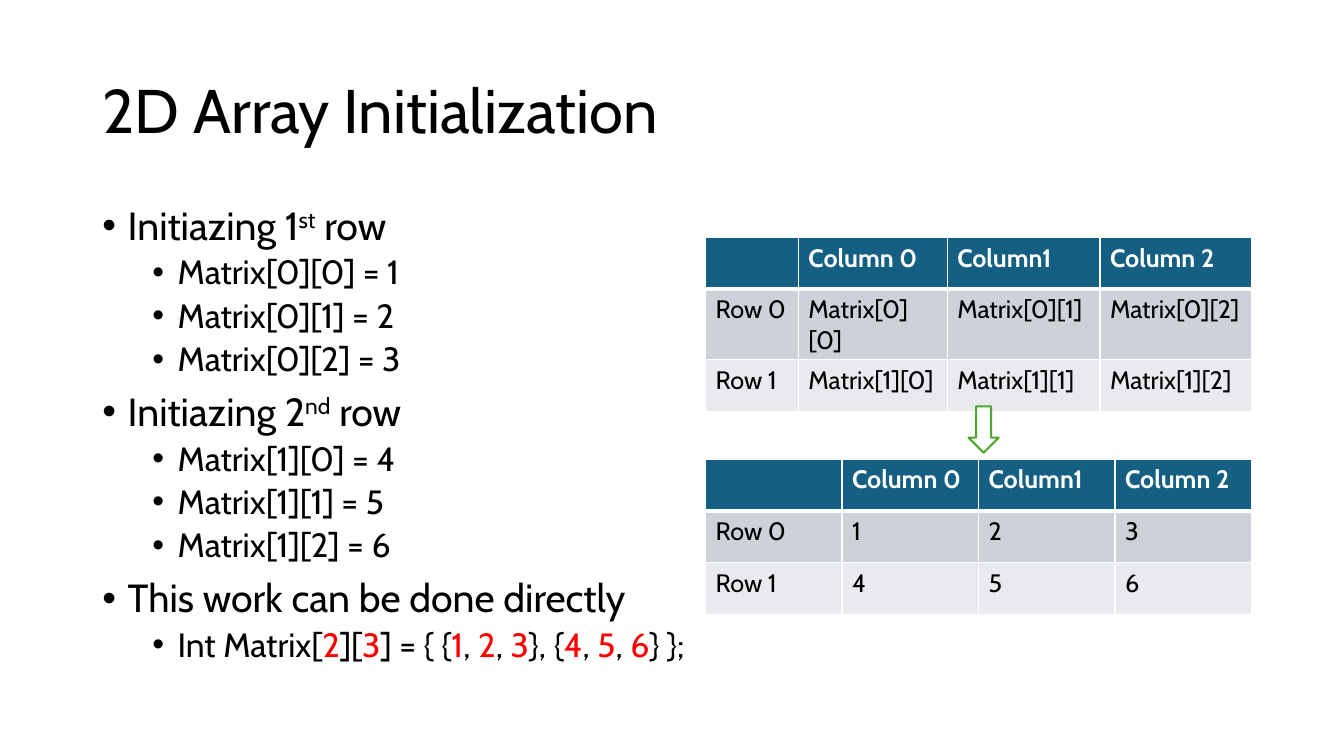
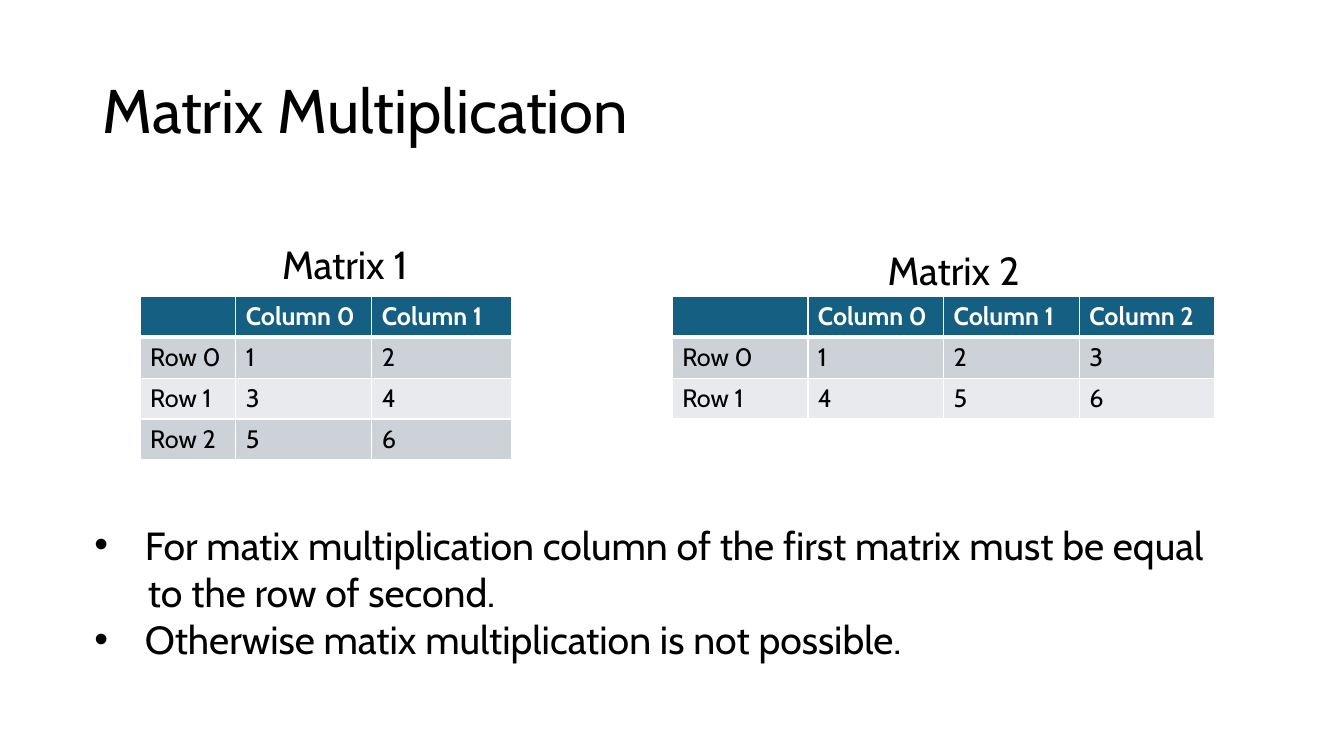
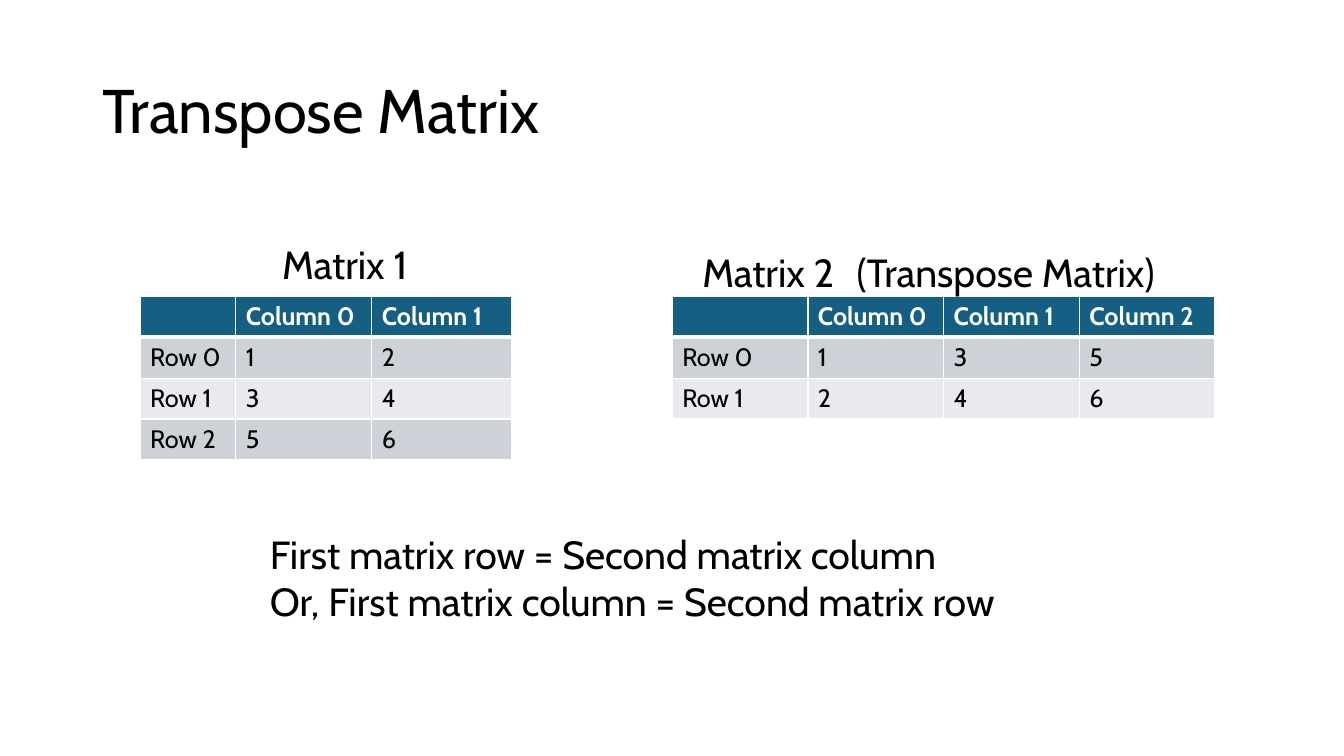
from itertools import groupby

from lxml import etree
from pptx import Presentation
from pptx.dml.color import RGBColor
from pptx.enum import shapes, text
from pptx.oxml.ns import qn
from pptx.util import Cm, Pt

FONT = "Cabin"
BLACK = RGBColor(0x00, 0x00, 0x00)
WHITE = RGBColor(0xFF, 0xFF, 0xFF)
RED = RGBColor(0xFF, 0x00, 0x00)
GREEN = RGBColor(0x4E, 0xA7, 0x2E)
HEADER_BLUE = RGBColor(0x15, 0x60, 0x82)
BAND_FILLS = (RGBColor(0xCC, 0xD2, 0xD8), RGBColor(0xE8, 0xEA, 0xED))

TITLE_BOX = (2.33, 1.01, 29.21, 3.68)
TITLE_SIZE, TEXT_SIZE, DETAIL_SIZE, CELL_SIZE = 44, 28, 24, 18
BULLET_INDENT = 0.64
DETAIL_MARGIN = 1.9
RULE_MARGIN = 1.27

# Initialization: heading, its raised ordinal, the words after it, the code lines
INIT_STEPS = [
    ("Initiazing 1", "st", " row",
     ["Matrix[0][0] = 1", "Matrix[0][1] = 2", "Matrix[0][2] = 3"]),
    ("Initiazing 2", "nd", " row",
     ["Matrix[1][0] = 4", "Matrix[1][1] = 5", "Matrix[1][2] = 6"]),
    ("This work can be done directly", "", "", []),
]
DIRECT_CODE = "Int Matrix[2][3] = { {1, 2, 3}, {4, 5, 6} };"
INIT_HEADERS = ["Column 0", "Column1", "Column 2"]
CELL_NAMES = [[f"Matrix[{row}][{column}]" for column in range(3)] for row in range(2)]

TALL_MATRIX = [[1, 2], [3, 4], [5, 6]]
WIDE_MATRIX = [[1, 2, 3], [4, 5, 6]]
TRANSPOSED = list(zip(*TALL_MATRIX))

# Paragraph text, left margin in cm, bulleted
MULTIPLICATION_RULES = [
    ("For matix multiplication column of the first matrix must be equal", RULE_MARGIN, True),
    ("to the row of second.", 1.35, False),
    ("Otherwise matix multiplication is not possible.", RULE_MARGIN, True),
]
TRANSPOSE_RULES = [
    ("First matrix row = Second matrix column", 0, False),
    ("Or, First matrix column = Second matrix row", 0, False),
]
FIRST_CAPTION = ("Matrix 1", 6.86, 5.92, 3.89)
# Title, captions (text, left, top, width), second matrix, rules, rules box
MATRIX_PAGES = [
    ("Matrix Multiplication",
     [FIRST_CAPTION, ("Matrix 2", 22.12, 6.07, 3.89)],
     WIDE_MATRIX, MULTIPLICATION_RULES, (2.13, 13, 29.41, 3.84)),
    ("Transpose Matrix",
     [FIRST_CAPTION, ("Matrix 2", 17.45, 6.12, 3.89), ("(Transpose Matrix)", 21.34, 6.12, 8.36)],
     TRANSPOSED, TRANSPOSE_RULES, (6.55, 13.23, 19.18, 2.64)),
]


def place(*lengths):
    return [Cm(length) for length in lengths]


def add_span(para, words, size, color=BLACK, bold=False, raised=False):
    span = para.add_run()
    span.text = words
    span.font.name, span.font.size, span.font.bold = FONT, Pt(size), bold
    span.font.color.rgb = color
    if raised:
        span._r.get_or_add_rPr().set("baseline", "30000")


def indent(para, margin, hanging=0):
    """Set the left margin; a hanging indent also gets a bullet."""
    properties = para._p.get_or_add_pPr()
    properties.set("marL", str(Cm(margin)))
    properties.set("indent", str(-Cm(hanging)))
    if hanging:
        etree.SubElement(properties, qn("a:buFont")).set("typeface", "Arial")
        etree.SubElement(properties, qn("a:buChar")).set("char", "•")


def add_text_box(page, box):
    frame = page.shapes.add_textbox(*place(*box)).text_frame
    frame.word_wrap = True
    return frame


def next_para(frame):
    """Return the unused first paragraph, or a new one."""
    first = frame.paragraphs[0]
    return frame.add_paragraph() if first.runs else first


def add_page(deck, title):
    page = deck.slides.add_slide(deck.slide_layouts[5])
    holder = page.shapes.title
    holder.left, holder.top, holder.width, holder.height = place(*TITLE_BOX)
    holder.text_frame.vertical_anchor = text.MSO_ANCHOR.MIDDLE
    para = holder.text_frame.paragraphs[0]
    para.alignment, para.line_spacing = text.PP_ALIGN.LEFT, 0.9
    add_span(para, title, TITLE_SIZE)
    return page


def set_borders(cell, widths):
    """Draw white borders; widths maps a side (L, R, T, B) to points."""
    properties = cell._tc.get_or_add_tcPr()
    for side, width in widths.items():
        line = etree.SubElement(properties, qn(f"a:ln{side}"), w=str(Pt(width)))
        fill = etree.SubElement(line, qn("a:solidFill"))
        etree.SubElement(fill, qn("a:srgbClr")).set("val", str(WHITE))


def add_matrix(page, left, top, widths, row_height, values, headers=None):
    headers = headers or [f"Column {number}" for number in range(len(values[0]))]
    grid = [["", *headers]]
    grid += [[f"Row {number}", *row] for number, row in enumerate(values)]
    table = page.shapes.add_table(
        len(grid), len(widths), *place(left, top, sum(widths), row_height * len(grid))).table
    for column, width in zip(table.columns, widths):
        column.width = Cm(width)
    for number, row in enumerate(grid):
        table.rows[number].height = Cm(row_height)
        is_header = number == 0
        for position, value in enumerate(row):
            cell = table.cell(number, position)
            set_borders(cell, {"L": 1, "R": 1, "T": 3 if number == 1 else 1,
                               "B": 3 if is_header else 1})
            cell.fill.solid()
            cell.fill.fore_color.rgb = HEADER_BLUE if is_header else BAND_FILLS[(number - 1) % 2]
            if value != "":
                add_span(cell.text_frame.paragraphs[0], str(value), CELL_SIZE,
                         WHITE if is_header else BLACK, is_header)


def add_step_para(frame, margin, space_before):
    para = next_para(frame)
    para.line_spacing, para.space_before = 0.9, Pt(space_before)
    indent(para, margin, BULLET_INDENT)
    return para


def add_init_steps(page):
    frame = add_text_box(page, (2.33, 5.08, 29.21, 14.4))
    for heading, ordinal, rest, code_lines in INIT_STEPS:
        para = add_step_para(frame, BULLET_INDENT, 10)
        add_span(para, heading, TEXT_SIZE)
        if ordinal:
            add_span(para, ordinal, TEXT_SIZE, raised=True)
            add_span(para, rest, TEXT_SIZE)
        for code in code_lines:
            add_span(add_step_para(frame, DETAIL_MARGIN, 5), code, DETAIL_SIZE)
    para = add_step_para(frame, DETAIL_MARGIN, 5)
    for is_number, characters in groupby(DIRECT_CODE, str.isdigit):
        add_span(para, "".join(characters), DETAIL_SIZE, RED if is_number else BLACK)


def add_init_page(deck):
    page = add_page(deck, "2D Array Initialization")
    add_init_steps(page)
    add_matrix(page, 17.78, 5.99, [2.34, 3.75, 3.85, 3.83], 1.3, CELL_NAMES, INIT_HEADERS)
    add_matrix(page, 17.78, 11.58, [3.44] * 4, 1.3, WIDE_MATRIX, INIT_HEADERS)
    arrow = page.shapes.add_shape(shapes.MSO_SHAPE.DOWN_ARROW, *place(24.41, 10.24, 0.76, 1.17))
    arrow.shadow.inherit = False
    arrow.fill.solid()
    arrow.fill.fore_color.rgb = WHITE
    arrow.line.color.rgb = GREEN
    arrow.line.width = Pt(1.5)


def add_matrix_page(deck, title, captions, second_matrix, rules, rules_box):
    page = add_page(deck, title)
    add_matrix(page, 3.53, 7.47, [2.41, 3.43, 3.53], 1.03, TALL_MATRIX)
    add_matrix(page, 16.94, 7.47, [3.42] * 4, 1.03, second_matrix)
    for caption, left, top, width in captions:
        frame = add_text_box(page, (left, top, width, 1.45))
        add_span(next_para(frame), caption, TEXT_SIZE)
    frame = add_text_box(page, rules_box)
    for rule, margin, bulleted in rules:
        para = next_para(frame)
        indent(para, margin, RULE_MARGIN if bulleted else 0)
        add_span(para, rule, TEXT_SIZE)


def main():
    deck = Presentation()
    deck.slide_width, deck.slide_height = place(33.87, 19.05)
    add_init_page(deck)
    for matrix_page in MATRIX_PAGES:
        add_matrix_page(deck, *matrix_page)
    deck.save("out.pptx")


if __name__ == "__main__":
    main()
